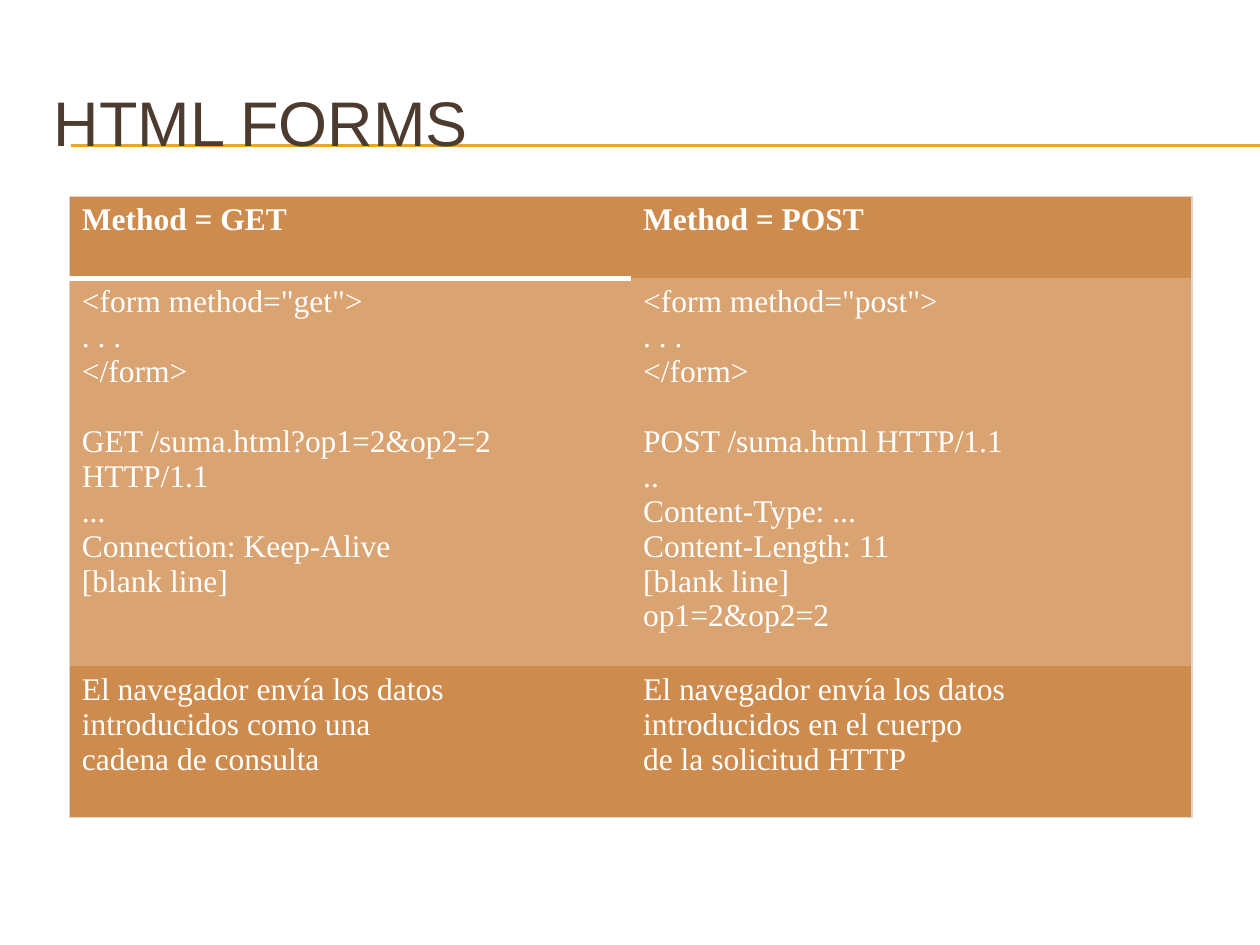
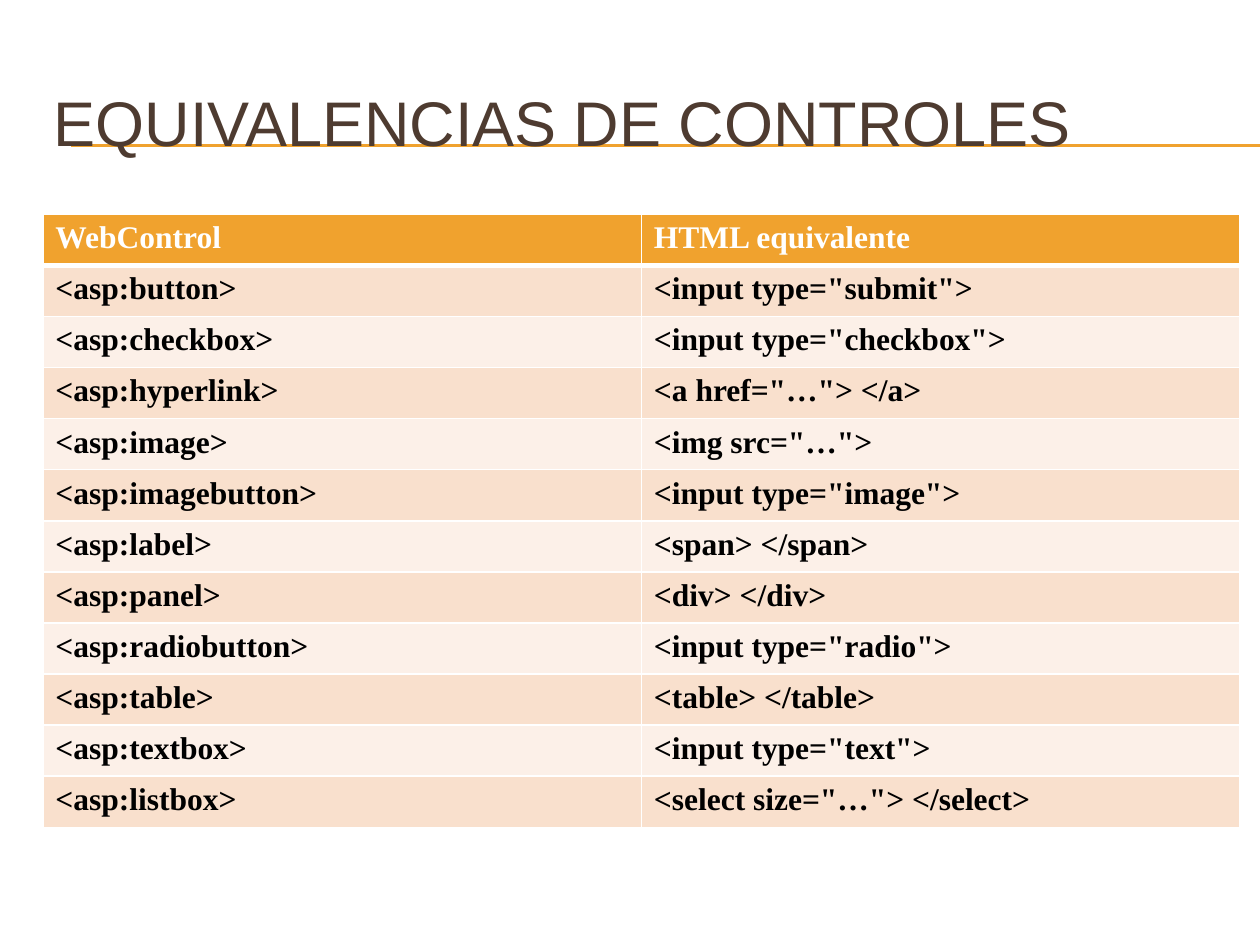
from dataclasses import dataclass
from typing import Optional

from lxml.etree import SubElement
from pptx import Presentation
from pptx.dml.color import RGBColor
from pptx.enum.shapes import MSO_CONNECTOR
from pptx.enum.text import MSO_ANCHOR
from pptx.oxml.ns import qn
from pptx.util import Inches, Pt

# The page is a grid of 100 columns by 75 rows.
COLUMNS, ROWS = 100, 75
WIDTH, HEIGHT = Inches(10), Inches(7.5)

TITLE_FONT, TABLE_FONT = "Arial", "Times New Roman"
TITLE_SIZE, TABLE_SIZE = 36, 18
BLANK_LINE = 20
BROWN, AMBER, WHITE, BLACK = "4E3B30", "F0A22E", "FFFFFF", "000000"
COPPER, LIGHT_COPPER, SAND = "CE8B4E", "D9A372", "E4D4C8"
PEACH, PALE_PEACH = "F9E0CD", "FCF0E8"


@dataclass(frozen=True)
class Border:
    color: str
    points: float


@dataclass(frozen=True)
class TableDesign:
    left: float
    top: float
    width: float
    row_heights: list[float]
    header_fill: str
    body_fills: tuple[str, str]
    body_color: str
    body_bold: bool
    outer: Border
    inner: Optional[Border]
    ruled_columns: int


HEADER_RULE = Border(WHITE, 3)

METHOD_ROWS = [
    ("Method = GET", "Method = POST"),
    (
        """<form method="get">
. . .
</form>

GET /suma.html?op1=2&op2=2 HTTP/1.1
...
Connection: Keep-Alive
[blank line]""",
        """<form method="post">
. . .
</form>

POST /suma.html HTTP/1.1
..
Content-Type: ...
Content-Length: 11
[blank line]
op1=2&op2=2""",
    ),
    (
        """El navegador envía los datos
introducidos como una
cadena de consulta""",
        """El navegador envía los datos
introducidos en el cuerpo
de la solicitud HTTP""",
    ),
]

CONTROL_ROWS = [
    ("WebControl", "HTML equivalente"),
    ("<asp:button>", '<input type="submit">'),
    ("<asp:checkbox>", '<input type="checkbox">'),
    ("<asp:hyperlink>", '<a href="…"> </a>'),
    ("<asp:image>", '<img src="…">'),
    ("<asp:imagebutton>", '<input type="image">'),
    ("<asp:label>", "<span> </span>"),
    ("<asp:panel>", "<div> </div>"),
    ("<asp:radiobutton>", '<input type="radio">'),
    ("<asp:table>", "<table> </table>"),
    ("<asp:textbox>", '<input type="text">'),
    ("<asp:listbox>", '<select size="…"> </select>'),
]

METHOD_DESIGN = TableDesign(
    left=5.5, top=15.6, width=89.1, row_heights=[6.5, 28.8, 12],
    header_fill=COPPER, body_fills=(LIGHT_COPPER, COPPER),
    body_color=WHITE, body_bold=False,
    outer=Border(SAND, 0.79), inner=None, ruled_columns=1,
)

CONTROL_DESIGN = TableDesign(
    left=3.4, top=17, width=95,
    row_heights=[48.7 / len(CONTROL_ROWS)] * len(CONTROL_ROWS),
    header_fill=AMBER, body_fills=(PEACH, PALE_PEACH),
    body_color=BLACK, body_bold=True,
    outer=Border(WHITE, 1), inner=Border(WHITE, 1), ruled_columns=2,
)


def across(columns: float) -> int:
    return round(WIDTH * columns / COLUMNS)


def down(rows: float) -> int:
    return round(HEIGHT * rows / ROWS)


def rgb(color: str) -> RGBColor:
    return RGBColor.from_string(color)


def add_span(para, text: str, font: str, size: float, color: str, bold: bool) -> None:
    span = para.add_run()
    span.text = text
    span.font.name = font
    span.font.size = Pt(size)
    span.font.bold = bold
    span.font.color.rgb = rgb(color)


def add_title(page, text: str) -> None:
    """Draw the double rule and the title that sits on it."""
    for row in (11.5, 11.6):
        rule = page.shapes.add_connector(
            MSO_CONNECTOR.STRAIGHT, across(5.6), down(row), WIDTH, down(row))
        rule.line.color.rgb = rgb(AMBER)
        rule.line.width = Pt(0.75)
        SubElement(rule._element.spPr, qn("a:effectLst"))
    box = page.shapes.add_textbox(across(3.3), down(5), across(95), down(9.2))
    frame = box.text_frame
    frame.word_wrap = True
    frame.vertical_anchor = MSO_ANCHOR.MIDDLE
    add_span(frame.paragraphs[0], text, TITLE_FONT, TITLE_SIZE, BROWN, False)


def set_border(cell, side: str, border: Optional[Border]) -> None:
    line = SubElement(cell._tc.get_or_add_tcPr(), qn(f"a:ln{side}"))
    if border is None:
        SubElement(line, qn("a:noFill"))
        return
    line.set("w", str(Pt(border.points)))
    fill = SubElement(line, qn("a:solidFill"))
    SubElement(fill, qn("a:srgbClr")).set("val", border.color)


def set_borders(cell, row: int, column: int, last_row: int, last_column: int,
                design: TableDesign) -> None:
    header_rule = HEADER_RULE if column < design.ruled_columns else design.inner

    def edge(is_outer: bool) -> Optional[Border]:
        return design.outer if is_outer else design.inner

    set_border(cell, "L", edge(column == 0))
    set_border(cell, "R", edge(column == last_column))
    set_border(cell, "T", header_rule if row == 1 else edge(row == 0))
    set_border(cell, "B", header_rule if row == 0 else edge(row == last_row))


def fill_text(cell, text: str, color: str, bold: bool) -> None:
    """Write one paragraph per line; a blank line becomes space before the next block."""
    frame = cell.text_frame
    for block_number, block in enumerate(text.split("\n\n")):
        for line_number, line in enumerate(block.split("\n")):
            is_first = block_number == line_number == 0
            para = frame.paragraphs[0] if is_first else frame.add_paragraph()
            if block_number and line_number == 0:
                para.space_before = Pt(BLANK_LINE)
            add_span(para, line, TABLE_FONT, TABLE_SIZE, color, bold)


def add_styled_table(page, rows: list[tuple[str, str]], design: TableDesign) -> None:
    column_count = len(rows[0])
    table = page.shapes.add_table(
        len(rows), column_count, across(design.left), down(design.top),
        across(design.width), down(sum(design.row_heights))).table
    table.first_row = table.horz_banding = False
    for column in table.columns:
        column.width = across(design.width / column_count)
    for row, (texts, height) in enumerate(zip(rows, design.row_heights)):
        table.rows[row].height = down(height)
        is_header = row == 0
        fill = design.header_fill if is_header else design.body_fills[(row - 1) % 2]
        color = WHITE if is_header else design.body_color
        for column, text in enumerate(texts):
            cell = table.cell(row, column)
            set_borders(cell, row, column, len(rows) - 1, column_count - 1, design)
            cell.fill.solid()
            cell.fill.fore_color.rgb = rgb(fill)
            fill_text(cell, text, color, is_header or design.body_bold)


def main() -> None:
    deck = Presentation()
    deck.slide_width, deck.slide_height = WIDTH, HEIGHT
    blank_layout = deck.slide_layouts[6]
    for title, rows, design in (
        ("HTML FORMS", METHOD_ROWS, METHOD_DESIGN),
        ("EQUIVALENCIAS DE CONTROLES", CONTROL_ROWS, CONTROL_DESIGN),
    ):
        page = deck.slides.add_slide(blank_layout)
        add_title(page, title)
        add_styled_table(page, rows, design)
    deck.save("out.pptx")


if __name__ == "__main__":
    main()
